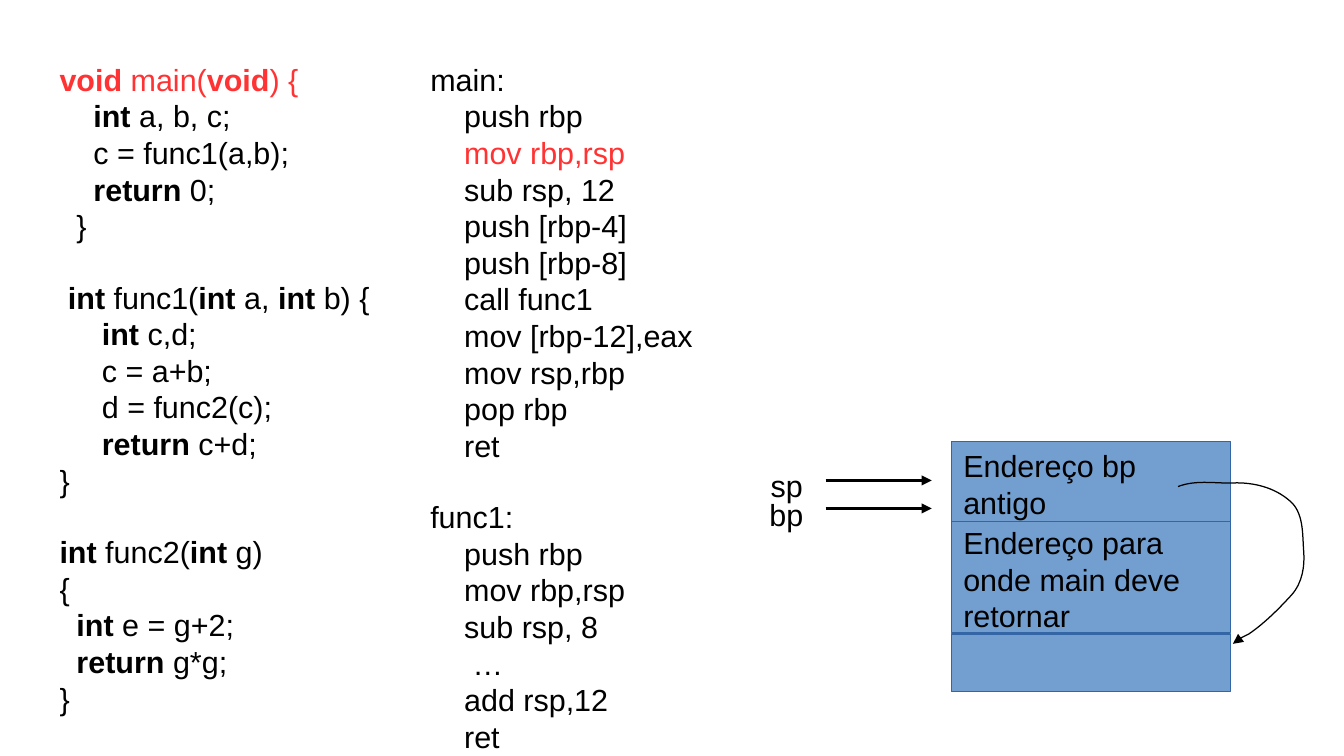
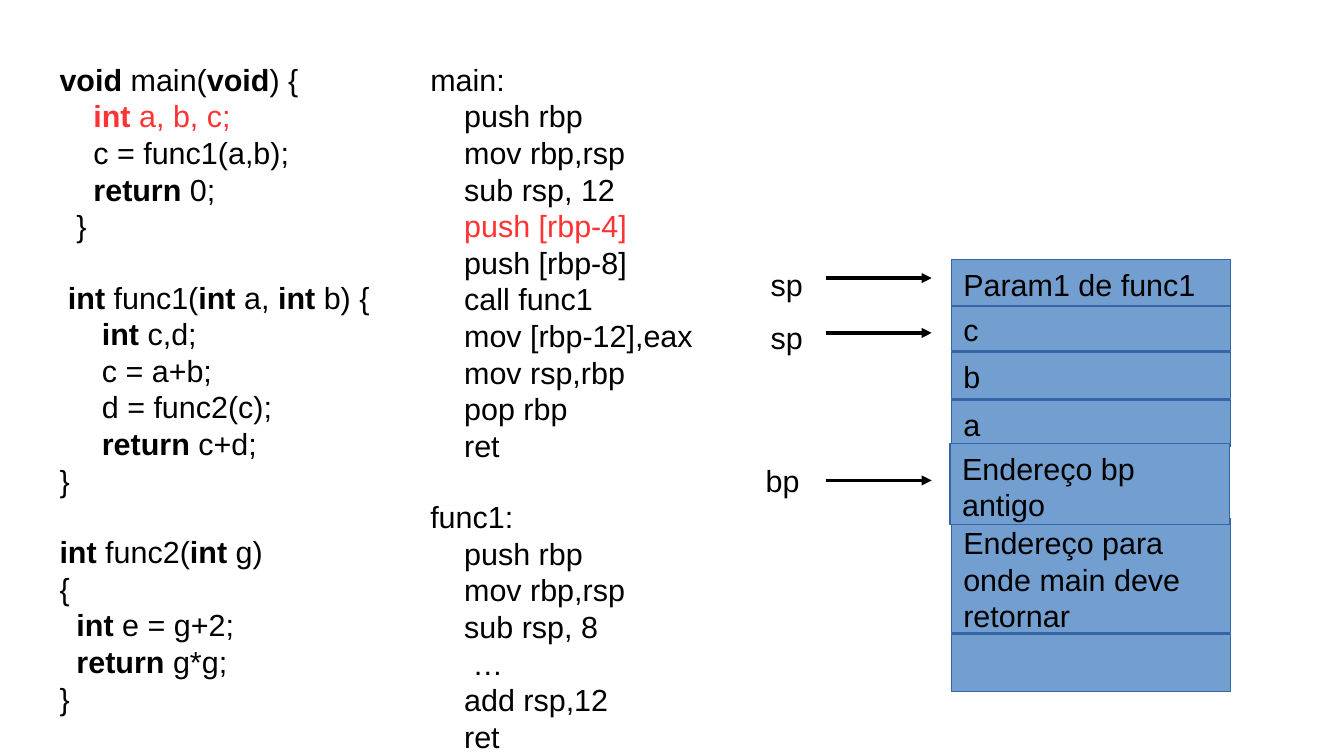
from dataclasses import dataclass

from lxml import etree
from pptx import Presentation
from pptx.dml.color import RGBColor
from pptx.enum.shapes import MSO_CONNECTOR, MSO_SHAPE
from pptx.enum.text import MSO_ANCHOR, PP_ALIGN
from pptx.oxml.ns import qn
from pptx.util import Inches, Pt

RECTANGLE = MSO_SHAPE.RECTANGLE
STRAIGHT = MSO_CONNECTOR.STRAIGHT
TOP = MSO_ANCHOR.TOP
LEFT = PP_ALIGN.LEFT


@dataclass(frozen=True)
class Theme:
    """Colours, font and type measures shared by the slides."""
    ink: RGBColor = RGBColor(0x00, 0x00, 0x00)
    highlight: RGBColor = RGBColor(0xFF, 0x33, 0x33)
    cell_fill: RGBColor = RGBColor(0x72, 0x9F, 0xCF)
    cell_line: RGBColor = RGBColor(0x34, 0x65, 0xA4)
    font: str = "Arial"
    size: Pt = Pt(18)
    hairline: Pt = Pt(0)
    indent_step: Pt = Pt(5)
    block_gap: Pt = Pt(20.7)


THEME = Theme()

C_CODE = [
    [(0, "|void| main(|void|) {"), (4, "|int| a, b, c;"), (4, "c = func1(a,b);"),
     (4, "|return| 0;"), (2, "}")],
    [(1, "|int| func1(|int| a, |int| b) {"), (5, "|int| c,d;"), (5, "c = a+b;"),
     (5, "d = func2(c);"), (5, "|return| c+d;"), (0, "}")],
    [(0, "|int| func2(|int| g)"), (0, "{"), (2, "|int| e = g+2;"),
     (2, "|return| g*g;"), (0, "}")],
]
ASSEMBLY = [
    [(0, "main:"), (4, "push rbp"), (4, "mov rbp,rsp"), (4, "sub rsp, 12"),
     (4, "push [rbp-4]"), (4, "push [rbp-8]"), (4, "call func1"),
     (4, "mov [rbp-12],eax"), (4, "mov rsp,rbp"), (4, "pop rbp"), (4, "ret")],
    [(0, "func1:"), (4, "push rbp"), (4, "mov rbp,rsp"), (4, "sub rsp, 8"),
     (5, "…"), (4, "add rsp,12"), (4, "ret")],
]
C_BOX = (0.39, 0.45, 2.83, 5.14)
ASSEMBLY_BOX = (3.43, 0.45, 2.83, 5.42)

STACK_LEFT, STACK_WIDTH = 7.8, 2.29
LOCAL_TOP, LOCAL_HEIGHT, LOCAL_PITCH = 3.28, 0.38, 0.39
POINTER_START, POINTER_END = 6.77, 7.64

CALLER_CELLS = [
    ("", STACK_LEFT, 5.2, 0.47),
    ("Endereço para onde main deve retornar", STACK_LEFT, 4.25, 0.94),
]
LOCAL_CELLS = [(name, STACK_LEFT, LOCAL_TOP - row * LOCAL_PITCH, LOCAL_HEIGHT)
               for row, name in enumerate("abc")]
OLD_BP = "Endereço bp antigo"

STEPS = [
    {
        "c_row": 0, "assembly_row": 2,
        "cells": CALLER_CELLS + [(OLD_BP, STACK_LEFT, 3.62, 0.66)],
        "pointers": [("bp", 6.21, 4.02, 4.17), ("sp", 6.22, 3.78, 3.94)],
        "old_frame": True,
    },
    {
        "c_row": 1, "assembly_row": 4,
        "cells": CALLER_CELLS + LOCAL_CELLS + [
            (OLD_BP, 7.79, 3.64, 0.66),
            ("Param1 de func1", STACK_LEFT, 2.13, LOCAL_HEIGHT)],
        "pointers": [("bp", 6.18, 3.74, 3.94), ("sp", 6.22, 2.57, 2.73),
                     ("sp", 6.22, 2.13, 2.28)],
        "old_frame": False,
    },
]

OLD_FRAME_START = (9.66, 3.99)
OLD_FRAME_CURVES = [
    ((9.82, 3.93), (9.98, 3.97), (10.14, 3.96)),
    ((10.31, 3.96), (10.48, 4.01), (10.6, 4.13)),
    ((10.69, 4.23), (10.68, 4.39), (10.69, 4.52)),
    ((10.7, 4.64), (10.68, 4.78), (10.59, 4.88)),
    ((10.48, 5.0), (10.37, 5.11), (10.24, 5.2)),
]
OLD_FRAME_TIP = [(10.12, 5.26), (10.11, 5.28)]


def add_run(paragraph, text, color=THEME.ink, bold=False):
    """Add one run in the shared type style."""
    run = paragraph.add_run()
    run.text = text
    run.font.name = THEME.font
    run.font.size = THEME.size
    run.font.bold = bold
    run.font.color.rgb = color


def add_text_box(slide, box, wrap=True):
    """Add an empty text box and return its text frame."""
    frame = slide.shapes.add_textbox(*map(Inches, box)).text_frame
    frame.word_wrap = wrap
    return frame


def add_code(slide, box, blocks, highlighted_row):
    """Write code blocks, with one row of the first block highlighted."""
    frame = add_text_box(slide, box)
    rows = [(block, row, *line) for block, lines in enumerate(blocks)
            for row, line in enumerate(lines)]
    for number, (block, row, indent, text) in enumerate(rows):
        paragraph = frame.add_paragraph() if number else frame.paragraphs[0]
        properties = paragraph._p.get_or_add_pPr()
        properties.set("marL", str(THEME.indent_step * indent))
        properties.set("indent", "0")
        if block and row == 0:
            paragraph.space_before = THEME.block_gap
        active = block == 0 and row == highlighted_row
        for part, piece in enumerate(text.split("|")):
            if piece:
                add_run(paragraph, piece, THEME.highlight if active else THEME.ink,
                        bold=part % 2 == 1)


def add_cell(slide, text, left, top, height):
    """Draw one cell of the stack."""
    cell = slide.shapes.add_shape(
        RECTANGLE, *map(Inches, (left, top, STACK_WIDTH, height)))
    cell.shadow.inherit = False
    cell.fill.solid()
    cell.fill.fore_color.rgb = THEME.cell_fill
    cell.line.color.rgb = THEME.cell_line
    cell.line.width = THEME.hairline
    if text:
        frame = cell.text_frame
        frame.word_wrap = True
        frame.vertical_anchor = TOP
        frame.paragraphs[0].alignment = LEFT
        add_run(frame.paragraphs[0], text)


def style_arrow(line):
    """Give a line the hairline stroke and a triangular end."""
    line.color.rgb = THEME.ink
    line.width = THEME.hairline
    etree.SubElement(line._get_or_add_ln(), qn("a:tailEnd"), type="triangle")


def add_pointer(slide, label, left, top, arrow_y):
    """Draw a register label and its arrow towards the stack."""
    arrow = slide.shapes.add_connector(
        STRAIGHT, Inches(POINTER_START), Inches(arrow_y),
        Inches(POINTER_END), Inches(arrow_y))
    style_arrow(arrow.line)
    etree.SubElement(arrow._element.spPr, qn("a:effectLst"))
    frame = add_text_box(slide, (left, top, 0.48, 0.38), wrap=False)
    add_run(frame.paragraphs[0], label)


def add_old_frame_arrow(slide):
    """Draw the curved arrow from the saved bp to the old frame."""
    controls = [point for curve in OLD_FRAME_CURVES for point in curve]
    builder = slide.shapes.build_freeform(*map(Inches, OLD_FRAME_START))
    builder.add_line_segments(
        [(Inches(x), Inches(y)) for x, y in controls + OLD_FRAME_TIP], close=False)
    arrow = builder.convert_to_shape()
    arrow.shadow.inherit = False
    arrow.fill.background()
    style_arrow(arrow.line)
    segments = list(arrow._element.iter(qn("a:lnTo")))
    for first in range(0, len(controls), 3):
        curve = etree.Element(qn("a:cubicBezTo"))
        segments[first].addprevious(curve)
        for segment in segments[first:first + 3]:
            curve.append(segment[0])
            segment.getparent().remove(segment)


def add_step(presentation, step):
    """Build the slide for one step of the execution."""
    slide = presentation.slides.add_slide(presentation.slide_layouts[6])
    add_code(slide, C_BOX, C_CODE, step["c_row"])
    for cell in step["cells"]:
        add_cell(slide, *cell)
    for pointer in step["pointers"]:
        add_pointer(slide, *pointer)
    if step["old_frame"]:
        add_old_frame_arrow(slide)
    add_code(slide, ASSEMBLY_BOX, ASSEMBLY, step["assembly_row"])


def main():
    """Build and save the presentation."""
    presentation = Presentation()
    presentation.slide_width = Inches(11.02)
    presentation.slide_height = Inches(6.2)
    for step in STEPS:
        add_step(presentation, step)
    presentation.save("out.pptx")


if __name__ == "__main__":
    main()
